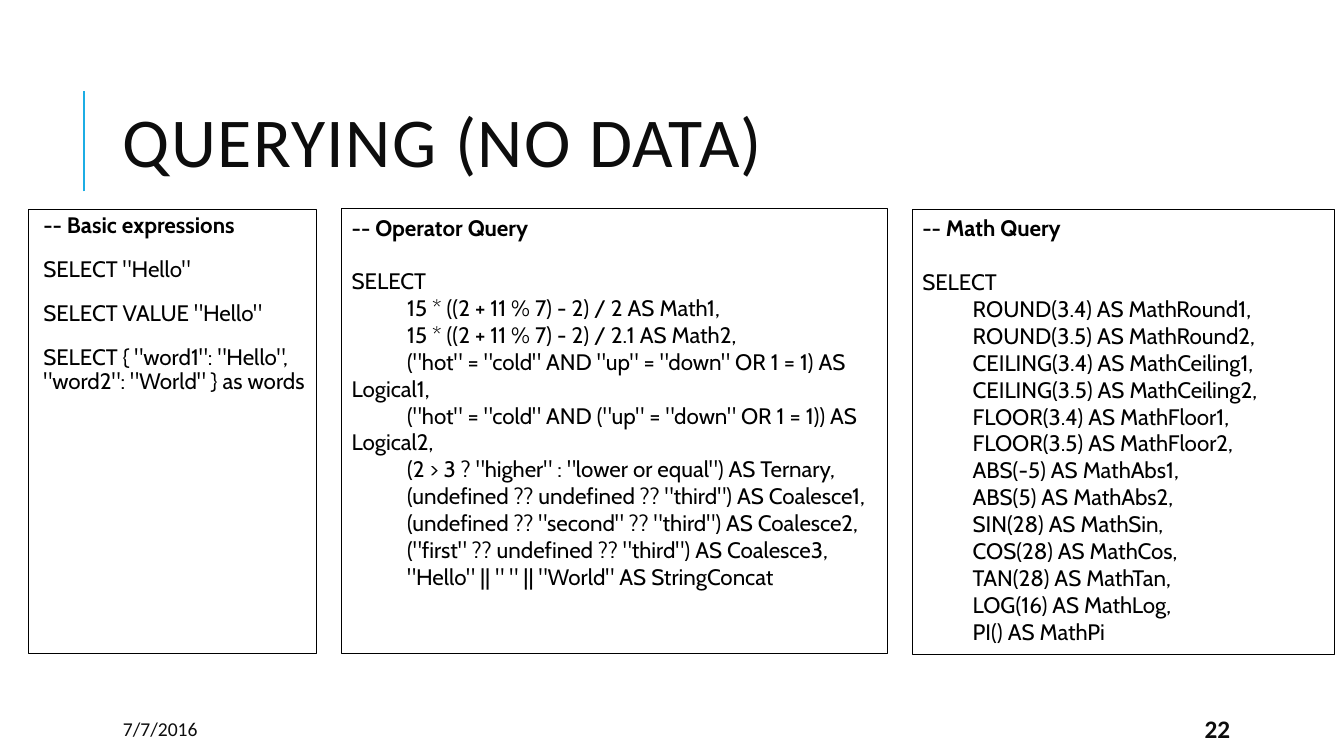
from pptx import Presentation
from pptx.dml.color import RGBColor
from pptx.enum.shapes import MSO_CONNECTOR, MSO_SHAPE
from pptx.enum.text import MSO_ANCHOR, PP_ALIGN
from pptx.oxml.ns import qn
from pptx.util import Inches, Pt
from lxml.etree import SubElement

THEME = {
    "ink": RGBColor(0x0D, 0x0D, 0x0D),
    "code": RGBColor(0, 0, 0),
    "accent": RGBColor(0x1C, 0xAD, 0xE4),
    "heading_font": "Calibri",
    "code_font": "Cabin",
    "title_size": Pt(50),
    "code_size": Pt(16),
    "date_size": Pt(14),
    "number_size": Pt(18),
}

deck = Presentation()
deck.slide_width, deck.slide_height = Inches(13.33), Inches(7.5)
page = deck.slides.add_slide(deck.slide_layouts[6])


def across(percent):
    return round(deck.slide_width * percent / 100)


def down(percent):
    return round(deck.slide_height * percent / 100)


rule = page.shapes.add_connector(
    MSO_CONNECTOR.STRAIGHT, across(6.23), down(25.33), across(6.23), down(12))
rule.line.color.rgb = THEME["accent"]
rule.line.width = Pt(1.5)
SubElement(rule._element.spPr, qn("a:effectLst"))

labels = [
    ("QUERYING (NO DATA)", 8.4, 8.53, 79.74, 21.87, "title_size", False, 0.8, 100),
    ("7/7/2016", 8.4, 94.4, 17.7, 4, "date_size", False, 1, 0),
    ("22", 88.9, 94.4, 7.95, 4, "number_size", True, 1, 0),
]
for text, left, top, width, height, size, bold, leading, tracking in labels:
    box = page.shapes.add_textbox(across(left), down(top), across(width), down(height))
    frame = box.text_frame
    frame.word_wrap = True
    frame.vertical_anchor = MSO_ANCHOR.MIDDLE
    para = frame.paragraphs[0]
    para.line_spacing = leading
    para.font.name = THEME["heading_font"]
    para.font.size = THEME[size]
    para.font.bold = bold
    para.font.color.rgb = THEME["ink"]
    span = para.add_run()
    span.text = text
    if tracking:
        span._r.get_or_add_rPr().set("spc", str(tracking))

basic_lines = [
    "-- Basic expressions",
    'SELECT "Hello"',
    'SELECT VALUE "Hello"',
    'SELECT { "word1": "Hello", "word2": "World" } as words',
]
operator_lines = [
    "-- Operator Query",
    "SELECT",
    "\t 15 * ((2 + 11 % 7) - 2) / 2 AS Math1,",
    "\t 15 * ((2 + 11 % 7) - 2) / 2.1 AS Math2,",
    '\t ("hot" = "cold" AND "up" = "down" OR 1 = 1) AS Logical1,',
    '\t ("hot" = "cold" AND ("up" = "down" OR 1 = 1)) AS Logical2,',
    '\t (2 > 3 ? "higher" : "lower or equal") AS Ternary,',
    '\t (undefined ?? undefined ?? "third") AS Coalesce1,',
    '\t (undefined ?? "second" ?? "third") AS Coalesce2,',
    '\t ("first" ?? undefined ?? "third") AS Coalesce3,',
    '\t "Hello" || " " || "World" AS StringConcat',
]
math_lines = [
    "-- Math Query",
    "SELECT",
    "\tROUND(3.4) AS MathRound1,",
    "\tROUND(3.5) AS MathRound2,",
    "\tCEILING(3.4) AS MathCeiling1,",
    "\tCEILING(3.5) AS MathCeiling2,",
    "\tFLOOR(3.4) AS MathFloor1,",
    "\tFLOOR(3.5) AS MathFloor2,",
    "\tABS(-5) AS MathAbs1,",
    "\tABS(5) AS MathAbs2,",
    "\tSIN(28) AS MathSin,",
    "\tCOS(28) AS MathCos,",
    "\tTAN(28) AS MathTan,",
    "\tLOG(16) AS MathLog,",
    "\tPI() AS MathPi",
]

panels = [
    (basic_lines, 2.1, 27.73, 21.46, 58.67, 0.15, 0.05, 0.9, 14, 14),
    (operator_lines, 25.43, 27.6, 40.59, 58.8, 0.1, 0.1, 1, 19.2, 0),
    (math_lines, 67.89, 27.73, 31.43, 58.8, 0.1, 0.1, 1, 19.2, 0),
]
for lines, left, top, width, height, inset_left, inset_right, leading, heading_gap, gap in panels:
    panel = page.shapes.add_shape(
        MSO_SHAPE.RECTANGLE, across(left), down(top), across(width), down(height))
    panel.shadow.inherit = False
    panel.fill.background()
    panel.line.color.rgb = THEME["code"]
    panel.line.width = Pt(0.75)
    frame = panel.text_frame
    frame.word_wrap = True
    frame.vertical_anchor = MSO_ANCHOR.TOP
    frame.margin_left, frame.margin_right = Inches(inset_left), Inches(inset_right)
    frame.margin_top = frame.margin_bottom = Inches(0.05)
    for index, line in enumerate(lines):
        para = frame.paragraphs[0] if index == 0 else frame.add_paragraph()
        para.text = line
        tabs = SubElement(para._p.get_or_add_pPr(), qn("a:tabLst"))
        SubElement(tabs, qn("a:tab"), pos=str(Inches(0.5)), algn="l")
        para.alignment = PP_ALIGN.LEFT
        para.line_spacing = leading
        para.space_after = Pt(heading_gap if index == 0 else gap)
        para.font.name = THEME["code_font"]
        para.font.size = THEME["code_size"]
        para.font.bold = index == 0
        para.font.color.rgb = THEME["code"]

deck.save("out.pptx")
